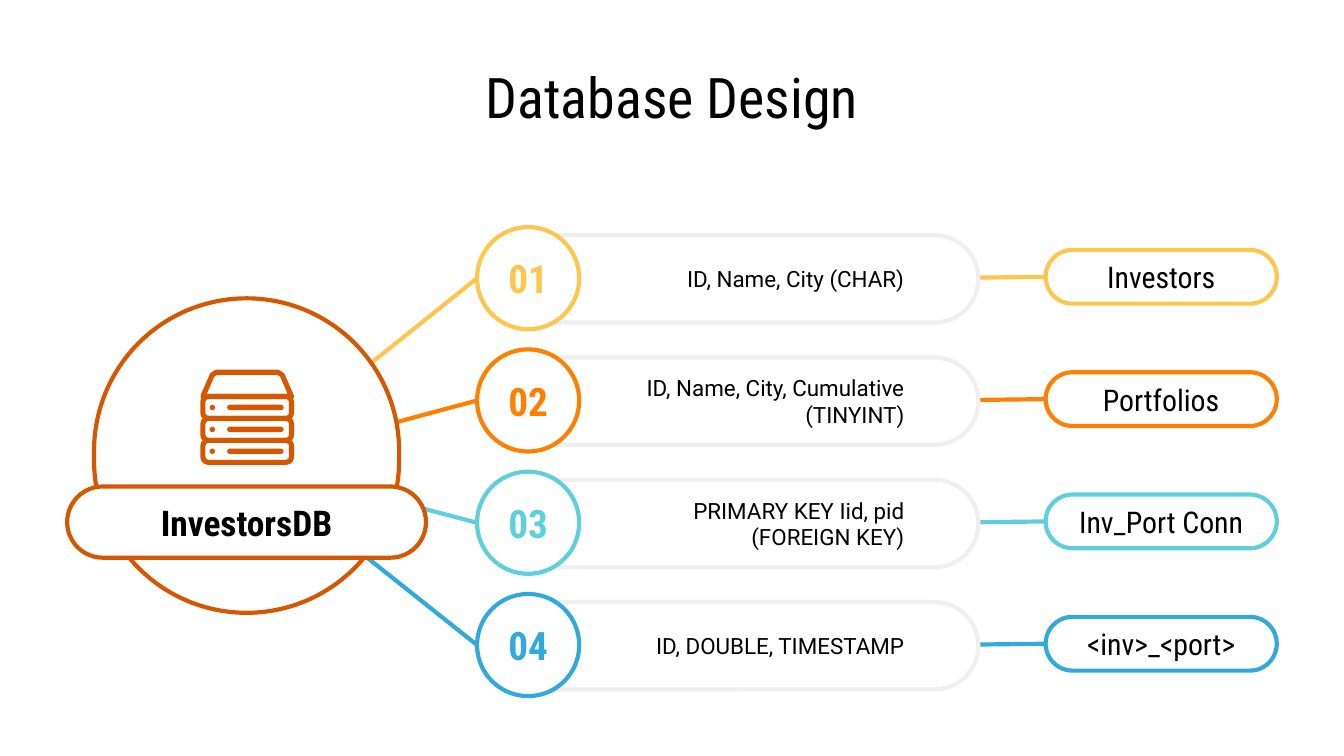
from lxml import etree
from pptx import Presentation
from pptx import util as u
from pptx.dml.color import RGBColor
from pptx.enum import shapes, text
from pptx.oxml.ns import qn

COLORS = {"ink": "000000", "paper": "FFFFFF", "frame": "EFEFEF", "database": "D55800",
          "yellow": "FFC64E", "orange": "FF8001", "teal": "5FD0DB", "blue": "32AAD9"}
HEADING, BODY = "Roboto Condensed", "Roboto"
TITLE = "Database Design"
DATABASE = "InvestorsDB"
# table name, columns, colour, left edge of the columns text
TABLES = [
    ("Investors", "ID, Name, City (CHAR)", "yellow", 4.36),
    ("Portfolios", "ID, Name, City, Cumulative (TINYINT)", "orange", 4.11),
    ("Inv_Port Conn", "PRIMARY KEY Iid, pid (FOREIGN KEY)", "teal", 4.42),
    ("<inv>_<port>", "ID, DOUBLE, TIMESTAMP", "blue", 3.96),
]
FIRST_CENTER, ROW_PITCH = 2.07, 0.91
CIRCLE_LEFT, CIRCLE_SIZE = 3.55, 0.76
COLUMNS_RIGHT, NAME_LEFT = 6.93, 7.78
HUB = (1.84, 3.44)
OUTLINE = 2.25
ROUND, OVAL = shapes.MSO_SHAPE.ROUNDED_RECTANGLE, shapes.MSO_SHAPE.OVAL


def rgb(name):
    return RGBColor.from_string(COLORS[name])


def paint(shape, fill=None, line=None, width=OUTLINE):
    shape.shadow.inherit = False
    if fill:
        shape.fill.solid()
        shape.fill.fore_color.rgb = rgb(fill)
    else:
        shape.fill.background()
    if line:
        shape.line.color.rgb = rgb(line)
        shape.line.width = u.Pt(width)
    else:
        shape.line.fill.background()


def add_shape(parent, kind, box, fill="paper", line=None, width=OUTLINE, rounding=0.5):
    shape = parent.add_shape(kind, *map(u.Inches, box))
    if kind == ROUND:
        shape.adjustments[0] = rounding
    paint(shape, fill, line, width)
    return shape


def write(shape, words, size, font=HEADING, color="ink", bold=False,
          align=text.PP_ALIGN.CENTER, sides=(0.1, 0.1)):
    frame = shape.text_frame
    frame.text = words
    frame.word_wrap = True
    frame.auto_size = text.MSO_AUTO_SIZE.NONE
    frame.vertical_anchor = text.MSO_ANCHOR.MIDDLE
    frame.margin_left, frame.margin_right = map(u.Inches, sides)
    frame.margin_top = frame.margin_bottom = u.Inches(0.1)
    para = frame.paragraphs[0]
    para.alignment = align
    span = para.runs[0].font
    span.name, span.size, span.bold = font, u.Pt(size), bold
    span.color.rgb = rgb(color)


def connect(parent, start, end, color):
    line = parent.add_connector(shapes.MSO_CONNECTOR.STRAIGHT, *map(u.Inches, start + end))
    line.line.color.rgb = rgb(color)
    line.line.width = u.Pt(OUTLINE)
    etree.SubElement(line._element.spPr, qn("a:effectLst"))


def add_table_row(parent, index, name, columns, color, columns_left):
    center = FIRST_CENTER + index * ROW_PITCH
    label = add_shape(parent, ROUND, (NAME_LEFT, center - 0.21, 1.72, 0.4), line=color)
    write(label, name, 16)
    connect(parent, (COLUMNS_RIGHT, center), (NAME_LEFT, center - 0.01), color)
    add_shape(parent, ROUND, (3.66, center - 0.32, 3.62, 0.65), line="frame")
    box = parent.add_textbox(*map(u.Inches, (
        columns_left, center - 0.22, COLUMNS_RIGHT - columns_left, 0.45)))
    write(box, columns, 12, BODY, align=text.PP_ALIGN.RIGHT, sides=(0.6, 0.2))
    connect(parent, HUB, (CIRCLE_LEFT, center), color)
    circle = add_shape(parent, OVAL, (CIRCLE_LEFT, center - CIRCLE_SIZE / 2,
                                      CIRCLE_SIZE, CIRCLE_SIZE), line=color)
    write(circle, f"{index + 1:02}", 21, color=color, bold=True, sides=(0, 0))


def add_server_icon(parent, left=1.51, right=2.17, top=2.95, bottom=3.44, tiers=3):
    icon = parent.add_group_shape().shapes
    stroke = 2.75
    lid = [(1.58, 2.79), (1.61, 2.77), (2.07, 2.77), (2.1, 2.79), (right, top)]
    builder = icon.build_freeform(u.Inches(left), u.Inches(top), scale=1.0)
    builder.add_line_segments([(u.Inches(x), u.Inches(y)) for x, y in lid], close=True)
    paint(builder.convert_to_shape(), line="database", width=stroke)
    height = (bottom - top) / tiers
    for tier in range(tiers):
        tier_top = top + tier * height
        middle = tier_top + height / 2
        add_shape(icon, ROUND, (left, tier_top, right - left, height), fill=None,
                  line="database", width=stroke, rounding=0.25)
        add_shape(icon, OVAL, (1.56, middle - 0.02, 0.04, 0.04), fill="database")
        add_shape(icon, ROUND, (1.69, middle - 0.02, 0.42, 0.04), fill="database")


def main():
    deck = Presentation()
    deck.slide_width = u.Inches(10)
    deck.slide_height = deck.slide_width * 9 // 16
    page = deck.slides.add_slide(deck.slide_layouts[5])
    title = page.shapes.title
    title.left, title.top, title.width, title.height = map(u.Inches, (0.5, 0.45, 9, 0.53))
    write(title, TITLE, 30)

    for index, table in enumerate(TABLES):
        add_table_row(page.shapes, index, *table)

    add_shape(page.shapes, ROUND, (0.7, 2.22, 2.27, 2.34), line="database")
    add_server_icon(page.shapes)
    banner = add_shape(page.shapes, ROUND, (0.5, 3.62, 2.67, 0.53), line="database")
    write(banner, DATABASE, 19, bold=True)
    deck.save("out.pptx")


if __name__ == "__main__":
    main()
